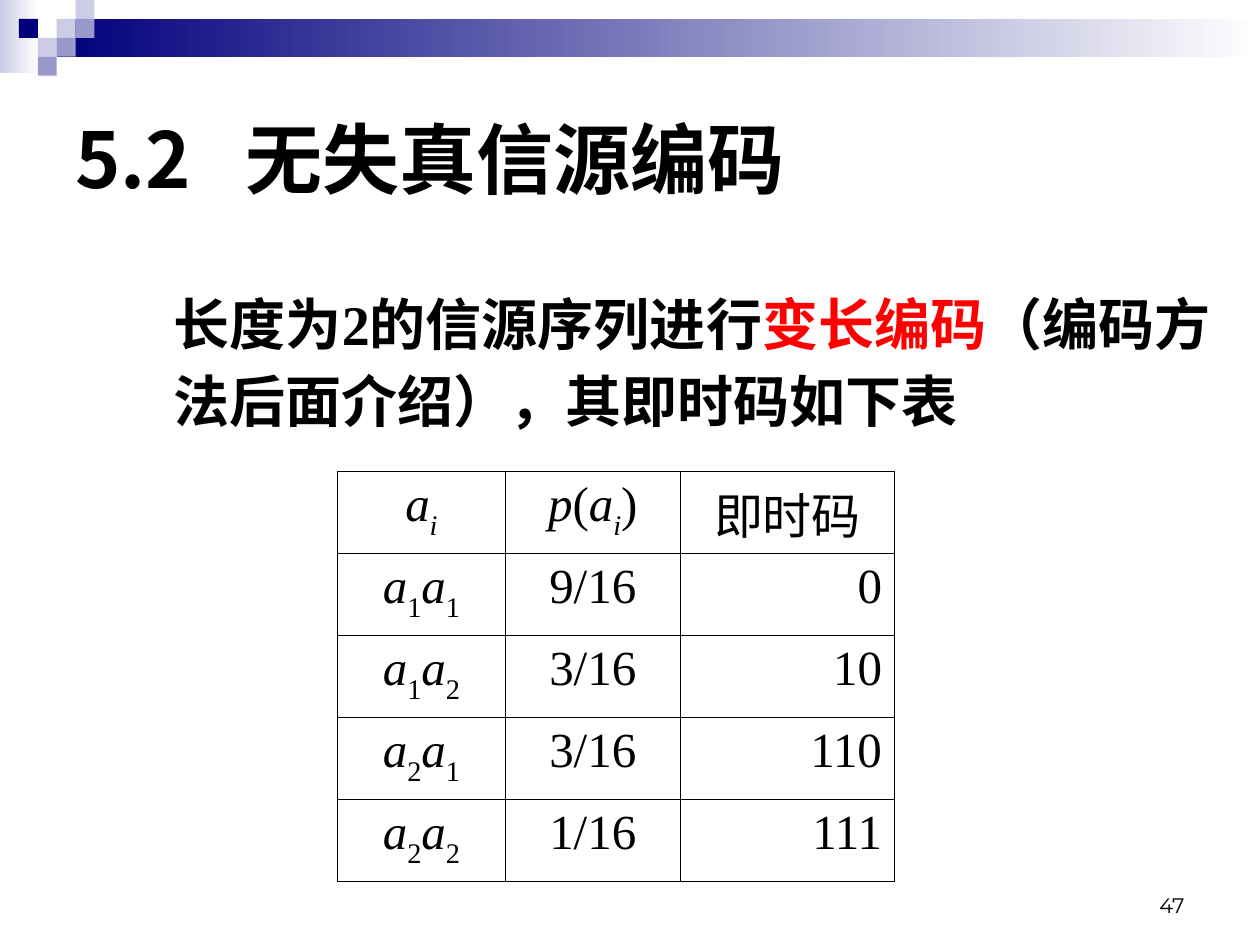
from dataclasses import dataclass
from lxml.etree import SubElement
from pptx import Presentation
from pptx.dml.color import RGBColor
from pptx.enum.shapes import MSO_SHAPE
from pptx.enum.text import MSO_ANCHOR, PP_ALIGN
from pptx.oxml.ns import qn
from pptx.util import Inches, Pt


@dataclass(frozen=True)
class Theme:
    navy: str = "00007D"
    mid: str = "9999CC"
    pale: str = "CCCCE6"
    white: str = "FFFFFF"
    black: str = "000000"
    red: str = "FF0000"
    han: str = "Noto Sans CJK SC"
    serif: str = "Times New Roman"
    sans: str = "Montserrat"
    title: int = 44
    body: int = 32
    cell: int = 28
    page: int = 12
    thick: float = 0.96
    thin: float = 0.45


theme = Theme()
prs = Presentation()
prs.slide_width, prs.slide_height = Inches(10), Inches(7.5)
slide = prs.slides.add_slide(prs.slide_layouts[6])


def add_run(para, text, size, face, color=theme.black, bold=False):
    """Add a run with its Latin face and the shared Chinese face."""
    run = para.add_run()
    run.text = text
    font = run.font
    font.size, font.name, font.bold = Pt(size), face, bold
    font.color.rgb = RGBColor.from_string(color)
    SubElement(run._r.get_or_add_rPr(), qn("a:ea"), typeface=theme.han)
    return run


def add_box(left, top, width, height, anchor):
    """Add a wrapping text box and return its first paragraph."""
    box = slide.shapes.add_textbox(*map(Inches, (left, top, width, height)))
    frame = box.text_frame
    frame.word_wrap, frame.vertical_anchor = True, anchor
    return frame.paragraphs[0]


# Top band: two fading bars, then squares on a grid
unit = 0.15
bars = [
    (0, 0, 0.31, 0.58, theme.pale, theme.white),
    (0.45, unit, 9.55, 0.3, theme.navy, theme.white),
]
squares = [
    (3, 1, theme.pale), (4, 0, theme.pale), (4, 1, theme.mid), (2, 2, theme.pale),
    (1, 1, theme.navy), (3, 2, theme.mid), (2, 3, theme.mid),
]
tiles = [(col * unit, row * unit, unit, unit, color) for col, row, color in squares]
for left, top, width, height, *colors in bars + tiles:
    shape = slide.shapes.add_shape(
        MSO_SHAPE.RECTANGLE, *map(Inches, (left, top, width, height)))
    shape.shadow.inherit = False
    shape.line.fill.background()
    if len(colors) == 2:
        shape.fill.gradient()
        shape.fill.gradient_angle = 0
        for stop, color in zip(shape.fill.gradient_stops, colors):
            stop.color.rgb = RGBColor.from_string(color)
    else:
        shape.fill.solid()
        shape.fill.fore_color.rgb = RGBColor.from_string(colors[0])

# Page number
para = add_box(7.17, 6.83, 2.33, 0.5, MSO_ANCHOR.BOTTOM)
para.alignment = PP_ALIGN.RIGHT
add_run(para, "47", theme.page, theme.sans)

# Title, with a tab stop after the section number
para = add_box(0.5, 0.5, 9, 1.5, MSO_ANCHOR.MIDDLE)
tabs = SubElement(para._p.get_or_add_pPr(), qn("a:tabLst"))
SubElement(tabs, qn("a:tab"), pos=str(Inches(1.35)), algn="l")
add_run(para, "5.2\t无失真信源编码", theme.title, theme.han, bold=True)

# Body
para = add_box(1.28, 2.17, 8.72, 1.43, MSO_ANCHOR.TOP)
para.line_spacing, para.space_before = 1.15, Pt(8)
for text, color in [
    ("长度为2的信源序列进行", theme.black),
    ("变长编码", theme.red),
    ("（编码方法后面介绍），其即时码如下表", theme.black),
]:
    add_run(para, text, theme.body, theme.serif, color, bold=True)

# Code table: "_" puts the next character below the line
rows = [
    ("a_i", "p(a_i)", "即时码"),
    ("a_1a_1", "9/16", "0"),
    ("a_1a_2", "3/16", "10"),
    ("a_2a_1", "3/16", "110"),
    ("a_2a_2", "1/16", "111"),
]
widths = [1.33, 1.39, 1.7]
pitch = 0.65
table = slide.shapes.add_table(
    len(rows), len(widths), Inches(2.68), Inches(3.74),
    Inches(sum(widths)), Inches(pitch * len(rows))).table
table.first_row = table.horz_banding = False
for col, width in zip(table.columns, widths):
    col.width = Inches(width)
for r, row in enumerate(rows):
    table.rows[r].height = Inches(pitch)
    for c, text in enumerate(row):
        cell = table.cell(r, c)
        para = cell.text_frame.paragraphs[0]
        para.alignment = PP_ALIGN.RIGHT if r and c == 2 else PP_ALIGN.CENTER
        for n, part in enumerate(text.split("_")):
            pieces = [(part[:1], True), (part[1:], False)] if n else [(part, False)]
            for piece, sub in pieces:
                # Variables are italic; digits and brackets are upright
                chars = piece if "(" in piece or len(piece) == 1 else [piece]
                for char in filter(None, chars):
                    run = add_run(para, char, theme.cell, theme.serif)
                    run.font.italic = char in ("a", "i", "p")
                    if sub:
                        run._r.get_or_add_rPr().set("baseline", "-30000")
        heavy = {
            "L": c == 0, "R": c == len(widths) - 1,
            "T": r < 2, "B": r in (0, len(rows) - 1),
        }
        props = cell._tc.get_or_add_tcPr()
        for side, bold in heavy.items():
            weight = Pt(theme.thick if bold else theme.thin)
            line = SubElement(props, qn(f"a:ln{side}"), w=str(weight))
            paint = SubElement(line, qn("a:solidFill"))
            SubElement(paint, qn("a:srgbClr"), val=theme.black)
        cell.fill.background()

prs.save("out.pptx")
